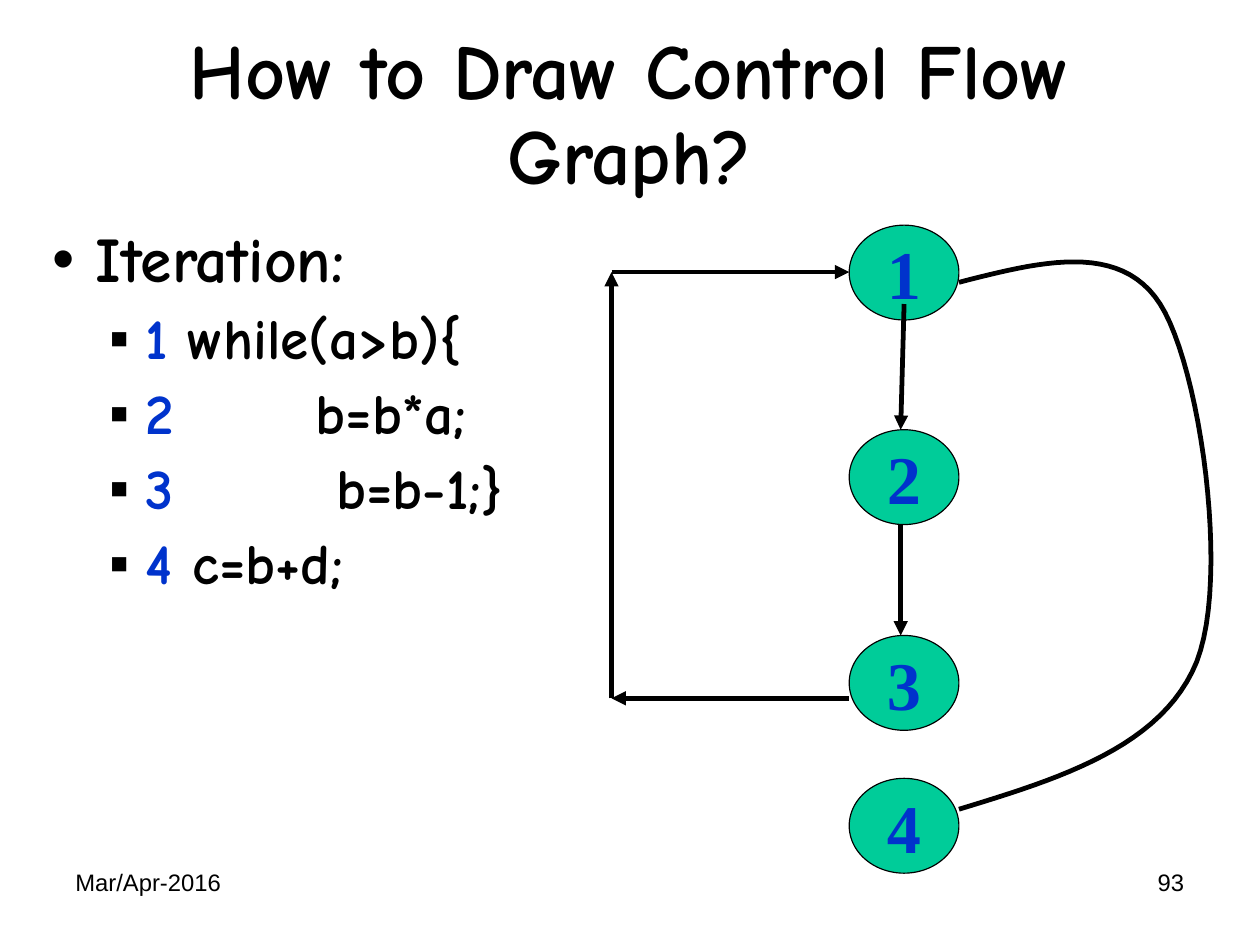
from dataclasses import dataclass

from lxml.etree import SubElement
from pptx import Presentation
from pptx.dml.color import RGBColor
from pptx.enum.shapes import MSO_CONNECTOR, MSO_SHAPE
from pptx.enum.text import MSO_ANCHOR as Anchor, PP_ALIGN as Align
from pptx.oxml.ns import qn
from pptx.util import Inches, Pt

CM_PER_INCH = 2.54
SLIDE_WIDTH, SLIDE_HEIGHT = 28 / CM_PER_INCH, 21 / CM_PER_INCH
COLORS = {"ink": "000000", "number": "0033CC", "node": "00CC99"}
HEADING_FONT = "Comic Neue"
NODE_LEFT, NODE_WIDTH, NODE_HEIGHT = 7.43, 0.96, 0.83
LOOP_LEFT, LOOP_TOP, LOOP_BOTTOM = 5.35, 2.38, 6.11
FLOW_X = 7.88
CURVE_STEPS = 24

Point = tuple[float, float]


@dataclass
class Node:
    label: str
    top: float


@dataclass
class Edge:
    start: Point
    end: Point


@dataclass
class CodeLine:
    number: str
    code: str


@dataclass
class Caption:
    text: str
    box: tuple[float, float, float, float]
    size: float
    font: str = "Arial"
    align: Align = Align.LEFT
    anchor: Anchor = Anchor.TOP
    bold: bool = False
    line_spacing: float = 1.0


NODES = [Node("1", 1.97), Node("2", 3.76), Node("3", 5.56), Node("4", 6.81)]
EDGES = [
    Edge((7.91, 2.66), (FLOW_X, 3.76)),
    Edge((FLOW_X, 4.59), (FLOW_X, 5.56)),
    Edge((NODE_LEFT, LOOP_BOTTOM), (LOOP_LEFT, LOOP_BOTTOM)),
    Edge((LOOP_LEFT, LOOP_BOTTOM), (LOOP_LEFT, LOOP_TOP)),
    Edge((LOOP_LEFT, LOOP_TOP), (NODE_LEFT, LOOP_TOP)),
]
EXIT_START = (8.39, 2.47)
EXIT_CURVES = [
    ((9.09, 2.29), (9.8, 2.11), (10.15, 2.66)),
    ((10.5, 3.21), (10.76, 5.05), (10.47, 5.79)),
    ((10.17, 6.53), (9.28, 6.81), (8.39, 7.08)),
]
CODE = [
    CodeLine("1", " while(a>b){"),
    CodeLine("2", "       b=b*a;"),
    CodeLine("3", "        b=b-1;}"),
    CodeLine("4", " c=b+d;"),
]
CAPTIONS = [
    Caption("How to Draw Control Flow Graph?", (0.55, -0.05, 9.91, 2.14), 49,
            HEADING_FONT, Align.CENTER, Anchor.MIDDLE, True, 0.91),
    Caption("Mar/Apr-2016", (0.55, 7.53, 2.56, 0.57), 15),
    Caption("93", (7.9, 7.53, 2.57, 0.57), 15, align=Align.RIGHT),
]


def color(name: str) -> RGBColor:
    return RGBColor.from_string(COLORS[name])


def style_font(font, name: str, size: float, bold: bool, ink: str = "ink") -> None:
    font.name, font.size, font.bold = name, Pt(size), bold
    font.color.rgb = color(ink)


def style_line(line, width: float) -> None:
    line.color.rgb = color("ink")
    line.width = Pt(width)


def set_frame(frame, anchor: Anchor = Anchor.TOP) -> None:
    frame.word_wrap = True
    frame.vertical_anchor = anchor
    frame.margin_left = frame.margin_right = Inches(0.11)
    frame.margin_top = frame.margin_bottom = Inches(0.06)


def add_caption(slide, caption: Caption) -> None:
    frame = slide.shapes.add_textbox(*map(Inches, caption.box)).text_frame
    set_frame(frame, caption.anchor)
    frame.text = caption.text
    paragraph = frame.paragraphs[0]
    paragraph.alignment = caption.align
    paragraph.line_spacing = caption.line_spacing
    style_font(paragraph.runs[0].font, caption.font, caption.size, caption.bold)


def set_bullet(paragraph, char: str, left: float, hanging: float) -> None:
    props = paragraph._p.get_or_add_pPr()
    props.set("marL", str(Inches(left)))
    props.set("indent", str(-Inches(hanging)))
    bullet_color = SubElement(props, qn("a:buClr"))
    SubElement(bullet_color, qn("a:srgbClr"), val=COLORS["ink"])
    SubElement(props, qn("a:buFont"), typeface="Arial")
    SubElement(props, qn("a:buChar"), char=char)
    paragraph.line_spacing = 0.91


def add_code_list(slide) -> None:
    box = map(Inches, (0.35, 1.93, 10.12, 5.85))
    frame = slide.shapes.add_textbox(*box).text_frame
    set_frame(frame)
    frame.text = "Iteration:"
    heading = frame.paragraphs[0]
    set_bullet(heading, "•", 0.38, 0.38)
    style_font(heading.runs[0].font, HEADING_FONT, 40, True)
    for line in CODE:
        paragraph = frame.add_paragraph()
        paragraph.level = 1
        set_bullet(paragraph, "▪", 0.81, 0.31)
        paragraph.space_before = Pt(8)
        for text, ink in ((line.number, "number"), (line.code, "ink")):
            run = paragraph.add_run()
            run.text = text
            style_font(run.font, HEADING_FONT, 36, True, ink)


def add_node(slide, node: Node) -> None:
    box = map(Inches, (NODE_LEFT, node.top, NODE_WIDTH, NODE_HEIGHT))
    oval = slide.shapes.add_shape(MSO_SHAPE.OVAL, *box)
    oval.shadow.inherit = False
    oval.fill.solid()
    oval.fill.fore_color.rgb = color("node")
    style_line(oval.line, 0.75)
    set_frame(oval.text_frame, Anchor.MIDDLE)
    oval.text_frame.text = node.label
    paragraph = oval.text_frame.paragraphs[0]
    paragraph.alignment = Align.CENTER
    style_font(paragraph.runs[0].font, "Times New Roman", 43, True, "number")


def add_edge(slide, edge: Edge) -> None:
    ends = map(Inches, (*edge.start, *edge.end))
    arrow = slide.shapes.add_connector(MSO_CONNECTOR.STRAIGHT, *ends)
    style_line(arrow.line, 3)
    SubElement(arrow.line._get_or_add_ln(), qn("a:tailEnd"), type="triangle")
    SubElement(arrow._element.spPr, qn("a:effectLst"))


def bezier_point(corners: tuple[Point, ...], t: float) -> tuple[int, int]:
    weights = ((1 - t) ** 3, 3 * t * (1 - t) ** 2, 3 * t**2 * (1 - t), t**3)
    x, y = (sum(w * c[axis] for w, c in zip(weights, corners)) for axis in (0, 1))
    return Inches(x), Inches(y)


def add_exit_curve(slide) -> None:
    """Draw the branch that leaves the loop, from node 1 to node 4."""
    start, points = EXIT_START, []
    for curve in EXIT_CURVES:
        points += [bezier_point((start, *curve), step / CURVE_STEPS)
                   for step in range(1, CURVE_STEPS + 1)]
        start = curve[-1]
    builder = slide.shapes.build_freeform(*map(Inches, EXIT_START))
    builder.add_line_segments(points, close=False)
    branch = builder.convert_to_shape()
    branch.shadow.inherit = False
    branch.fill.background()
    style_line(branch.line, 3)


def main() -> None:
    deck = Presentation()
    deck.slide_width, deck.slide_height = Inches(SLIDE_WIDTH), Inches(SLIDE_HEIGHT)
    slide = deck.slides.add_slide(deck.slide_layouts[6])
    for caption in CAPTIONS:
        add_caption(slide, caption)
    add_code_list(slide)
    for node in NODES:
        add_node(slide, node)
    for edge in EDGES:
        add_edge(slide, edge)
    add_exit_curve(slide)
    deck.save("out.pptx")


if __name__ == "__main__":
    main()
